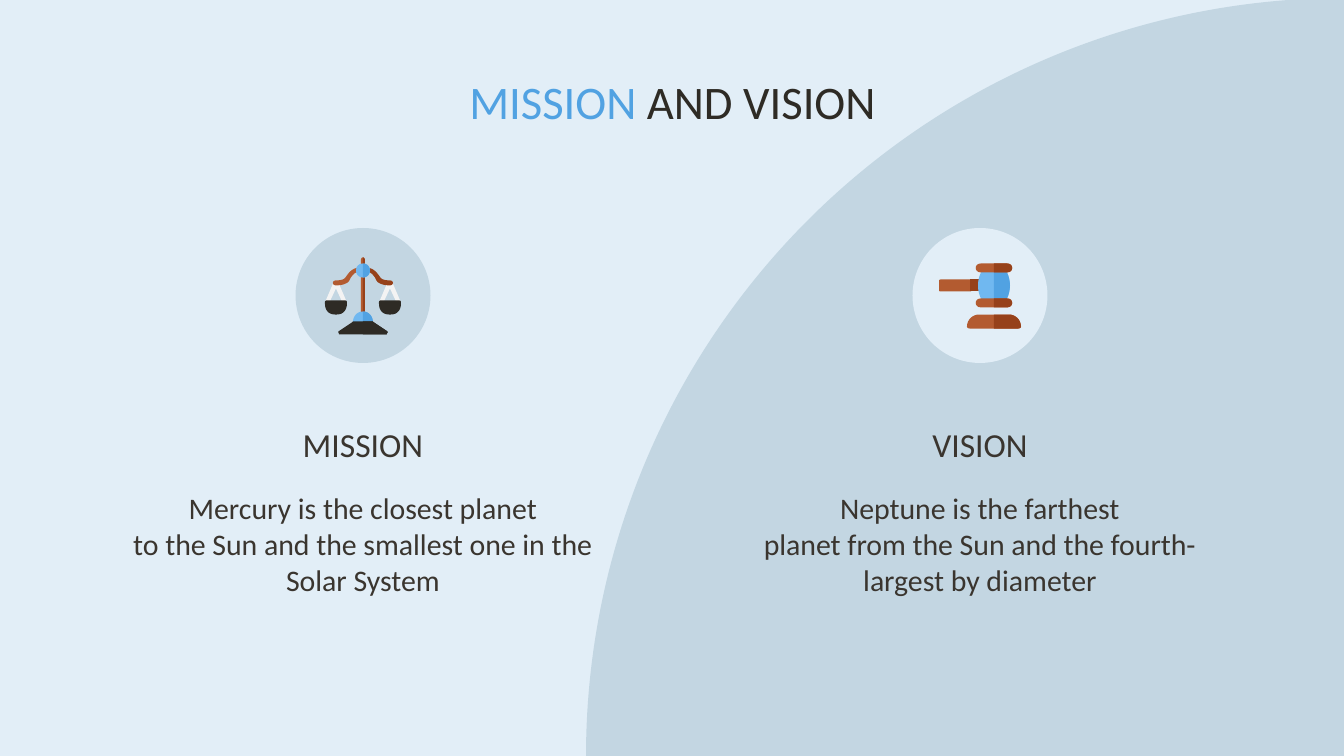
from dataclasses import dataclass

from pptx import Presentation
from pptx.dml.color import RGBColor
from pptx.enum.shapes import MSO_SHAPE
from pptx.enum.text import MSO_ANCHOR, PP_ALIGN
from pptx.util import Pt

PX = 914400 / 134.4  # EMU in one px


@dataclass(frozen=True)
class Theme:
    font: str = "Calibri"
    title_size: int = 25
    heading_size: int = 18
    body_size: int = 16
    pale: str = "E2EEF7"
    mist: str = "C3D6E2"
    sky: str = "70B8F0"
    blue: str = "51A2E2"
    wood: str = "B35B30"
    dark_wood: str = "96411A"
    ink: str = "2E2B25"
    text: str = "3A352F"
    white: str = "F3F3F3"


THEME = Theme()


def emu(length):
    return round(length * PX)


def color(value):
    return RGBColor.from_string(value)


def paint(shape, fill):
    shape.shadow.inherit = False
    shape.fill.solid()
    shape.fill.fore_color.rgb = color(fill)
    shape.line.fill.background()


def add_preset(slide, preset, box, fill):
    shape = slide.shapes.add_shape(preset, *map(emu, box))
    paint(shape, fill)
    return shape


def add_text(slide, box, paragraphs, size, anchor=MSO_ANCHOR.TOP):
    """Each paragraph is a list of (text, colour) runs."""
    frame = slide.shapes.add_textbox(*map(emu, box)).text_frame
    frame.word_wrap = True
    frame.vertical_anchor = anchor
    frame.margin_left = frame.margin_right = emu(13)
    frame.margin_top = frame.margin_bottom = emu(13)
    for index, runs in enumerate(paragraphs):
        paragraph = frame.paragraphs[0] if index == 0 else frame.add_paragraph()
        paragraph.alignment = PP_ALIGN.CENTER
        paragraph.font.name = THEME.font
        paragraph.font.size = Pt(size)
        for text, run_color in runs:
            run = paragraph.add_run()
            run.text = text
            run.font.color.rgb = color(run_color)


def trace(start, *steps):
    """Points along an outline: (x, y) is a line, six numbers a Bezier curve."""
    points = [start]
    for step in steps:
        if len(step) == 2:
            points.append(step)
            continue
        corners = (points[-1], step[:2], step[2:4], step[4:])
        for part in range(1, 9):
            t = part / 8
            weights = ((1 - t) ** 3, 3 * t * (1 - t) ** 2, 3 * t * t * (1 - t), t ** 3)
            points.append(tuple(
                sum(weight * corner[axis] for weight, corner in zip(weights, corners))
                for axis in (0, 1)))
    return points


def mirror(points):
    return [(-x, y) for x, y in points]


def add_outline(slide, origin, points, fill):
    placed = [(emu(origin[0] + x), emu(origin[1] + y)) for x, y in points]
    builder = slide.shapes.build_freeform(*placed[0], scale=1)
    builder.add_line_segments(placed[1:], close=True)
    paint(builder.convert_to_shape(), fill)


def add_two_tone(slide, origin, half, light, dark):
    """A symmetric part from its right half, which is shaded."""
    add_outline(slide, origin, half + mirror(half)[::-1], light)
    add_outline(slide, origin, half, dark)


def add_scales(slide, center):
    # Post, dome and foot
    post = trace((0, -38), (1, -38, 2, -37, 2, -35), (2, 33), (2, 34, 1, 35, 0, 35))
    dome = trace((0, 16), (6, 16, 10, 21, 10, 27), (10, 28), (10, 30, 9, 31, 8, 31), (0, 31))
    foot = trace((0, 26), (9, 26), (10, 26, 10, 26, 11, 27), (23, 35),
                 (25, 36, 25, 37, 24, 38), (24, 39, 24, 39, 22, 39), (0, 39))
    add_two_tone(slide, center, post, THEME.wood, THEME.dark_wood)
    add_two_tone(slide, center, dome, THEME.sky, THEME.blue)
    add_two_tone(slide, center, foot, THEME.ink, THEME.ink)

    # Hanger, arm and pan on each side
    hanger = trace((27, -15), (29, -14), (38, 7), (37, 9), (35, 9), (34, 8),
                   (27, -7), (20, 8), (19, 9), (17, 9), (16, 7), (25, -14))
    arm = trace((1, -28), (10, -28, 13, -24, 16, -20), (18, -17, 19, -15, 27, -15),
                (31, -15, 31, -10, 27, -10), (22, -10, 19, -11, 17, -12),
                (14, -13, 13, -16, 12, -18), (9, -22, 7, -24, 1, -24))
    pan = trace((18, 5), (36, 5), (38, 5, 38, 6, 38, 8), (38, 15, 34, 19, 28, 19), (26, 19),
                (20, 19, 16, 15, 16, 8), (16, 6, 16, 5, 18, 5))
    for side, arm_color in ((mirror, THEME.wood), (list, THEME.dark_wood)):
        for part, fill in ((hanger, THEME.white), (arm, arm_color), (pan, THEME.ink)):
            add_outline(slide, center, side(part), fill)

    # Pivot
    pivot = trace((0, -32), (4, -32, 7, -29, 7, -25), (7, -21, 4, -18, 0, -18))
    add_two_tone(slide, center, pivot, THEME.sky, THEME.blue)


def add_gavel(slide, center):
    # Handle
    grip = trace((-9, -16), (-39, -16), (-41, -16, -41, -15, -41, -14), (-41, -6),
                 (-41, -5, -41, -4, -39, -4), (-9, -4))
    add_outline(slide, center, grip, THEME.wood)
    add_outline(slide, center, trace((-10, -16), (6, -16), (6, -4), (-10, -4)), THEME.dark_wood)

    # Head, sounding block and bands share one axis
    axis = (center[0] + 14, center[1])
    head = trace((0, -24), (10, -24), (12, -24, 12, -24, 13, -23), (17, -15, 17, -5, 13, 3),
                 (12, 4, 12, 4, 10, 4), (0, 4))
    block = trace((0, 19), (15, 19), (21, 19, 27, 24, 27, 31), (27, 32, 26, 33, 24, 33), (0, 33))
    add_two_tone(slide, axis, head, THEME.sky, THEME.blue)
    add_two_tone(slide, axis, block, THEME.wood, THEME.dark_wood)
    for top in (-32, 3):
        band = trace((0, top), (13, top), (20, top, 20, top + 9, 13, top + 9), (0, top + 9))
        add_two_tone(slide, axis, band, THEME.wood, THEME.dark_wood)


def add_background(slide):
    slide.background.fill.solid()
    slide.background.fill.fore_color.rgb = color(THEME.pale)
    quarter = add_preset(slide, MSO_SHAPE.PIE, (586, -2, 1516, 1516), THEME.mist)
    quarter.adjustments[0] = 108  # 180 degrees
    quarter.adjustments[1] = 162  # 270 degrees


def add_column(slide, box, disc_color, add_icon, heading, lines):
    left, top, width = box
    disc = 135
    add_preset(slide, MSO_SHAPE.OVAL, (left + (width - disc) / 2, top, disc, disc), disc_color)
    add_icon(slide, (left + width / 2, top + disc / 2))
    add_text(slide, (left, top + 141, width, 108), [[(heading, THEME.text)]],
             THEME.heading_size, MSO_ANCHOR.BOTTOM)
    add_text(slide, (left, top + 249, width, 134), [[(line, THEME.text)] for line in lines],
             THEME.body_size)


def main():
    presentation = Presentation()
    presentation.slide_width, presentation.slide_height = emu(1344), emu(756)
    slide = presentation.slides.add_slide(presentation.slide_layouts[6])
    add_background(slide)
    add_text(slide, (175, 60, 995, 97),
             [[("MISSION ", THEME.blue), ("AND VISION", THEME.ink)]], THEME.title_size)
    add_column(slide, (117, 228, 492), THEME.mist, add_scales, "MISSION",
               ["Mercury is the closest planet",
                "to the Sun and the smallest one in the Solar System"])
    add_column(slide, (734, 228, 492), THEME.pale, add_gavel, "VISION",
               ["Neptune is the farthest",
                "planet from the Sun and the fourth-largest by diameter"])
    presentation.save("out.pptx")


if __name__ == "__main__":
    main()
